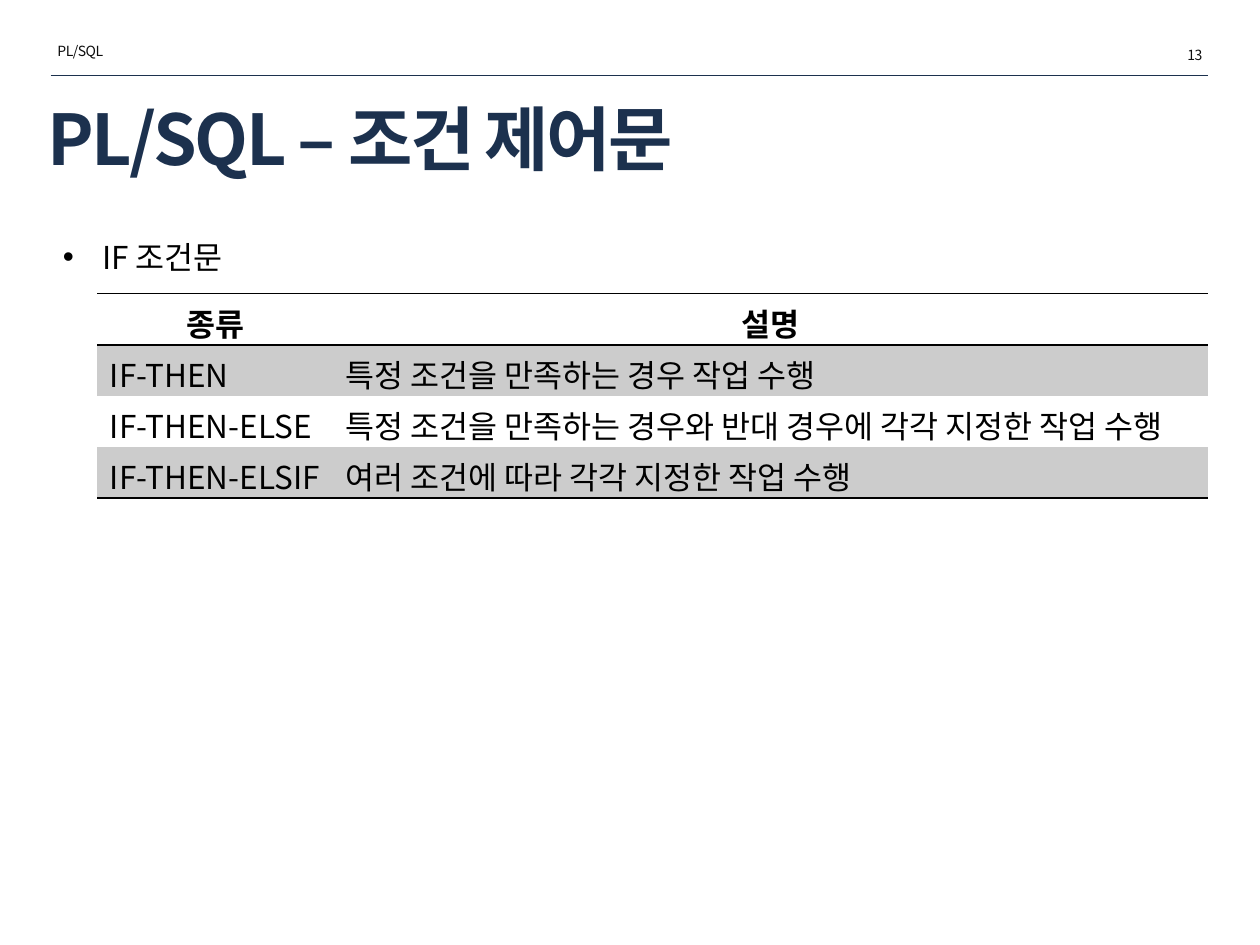
from lxml.etree import SubElement
from pptx import Presentation
from pptx.dml.color import RGBColor
from pptx.enum.shapes import MSO_CONNECTOR
from pptx.enum.text import MSO_ANCHOR, PP_ALIGN
from pptx.oxml.ns import qn
from pptx.util import Cm, Pt

FONT = "Noto Sans CJK KR"
HUE = {"navy": "1C314E", "ink": "0D0D0D", "black": "000000", "band": "CCCCCC"}
SMALL = {"size": Pt(8), "hue": "ink", "spc": -30}
HEAD = {"size": Pt(40), "hue": "navy", "spc": -150, "bold": True}
BODY = {"size": Pt(18), "hue": "black", "spc": 0, "bold": False}
LEFT, RIGHT = PP_ALIGN.LEFT, PP_ALIGN.RIGHT
TEXTS = [
    ("PL/SQL", (0.91, 0.74, 4.4, 0.6), SMALL, LEFT, MSO_ANCHOR.TOP),
    ("PL/SQL – 조건 제어문", (0.71, 1.96, 19.43, 1.63), HEAD, LEFT, MSO_ANCHOR.MIDDLE),
    ("13", (20.09, 0.81, 4.4, 0.6), SMALL, RIGHT, MSO_ANCHOR.TOP),
]
POINT = ("IF 조건문", (1.02, 4.29, 23.34, 1.27), BODY, LEFT, MSO_ANCHOR.TOP)
ROWS = [
    ("종류", "설명"),
    ("IF-THEN", "특정 조건을 만족하는 경우 작업 수행"),
    ("IF-THEN-ELSE", "특정 조건을 만족하는 경우와 반대 경우에 각각 지정한 작업 수행"),
    ("IF-THEN-ELSIF", "여러 조건에 따라 각각 지정한 작업 수행"),
]
COLS = (4.75, 17.65)
TALL = 1.03


def color(name):
    return RGBColor.from_string(HUE[name])


def write(frame, text, form, align):
    para = frame.paragraphs[0]
    para.alignment = align
    run = para.add_run()
    run.text = text
    font = run.font
    for key, val in form.items():
        if key not in ("hue", "spc"):
            setattr(font, key, val)
    font.name = FONT
    font.color.rgb = color(form["hue"])
    props = run._r.get_or_add_rPr()
    props.set("spc", str(form["spc"]))
    SubElement(props, qn("a:ea"), typeface=FONT)
    return para


def label(slide, text, place, form, align, anchor):
    box = slide.shapes.add_textbox(*map(Cm, place))
    frame = box.text_frame
    frame.word_wrap = True
    frame.vertical_anchor = anchor
    return write(frame, text, form, align)


def border(cell, sides):
    props = cell._tc.get_or_add_tcPr()
    for side in "LRTB":
        line = SubElement(props, qn(f"a:ln{side}"), w=str(Pt(1)))
        if side in sides:
            fill = SubElement(line, qn("a:solidFill"))
            SubElement(fill, qn("a:srgbClr"), val=HUE["black"])
        else:
            SubElement(line, qn("a:noFill"))


def grid(slide):
    last = len(ROWS) - 1
    place = (1.96, 5.92, sum(COLS), TALL * len(ROWS))
    table = slide.shapes.add_table(len(ROWS), len(COLS), *map(Cm, place)).table
    table.first_row = table.horz_banding = False
    for col, wide in zip(table.columns, COLS):
        col.width = Cm(wide)
    for r, row in enumerate(ROWS):
        table.rows[r].height = Cm(TALL)
        sides = {0: "TB", 1: "T", last: "B"}.get(r, "")
        for c, text in enumerate(row):
            cell = table.cell(r, c)
            cell.margin_bottom = 0
            border(cell, sides)
            if r % 2:
                cell.fill.solid()
                cell.fill.fore_color.rgb = color("band")
            else:
                cell.fill.background()
            align = LEFT if r else PP_ALIGN.CENTER
            write(cell.text_frame, text, {**BODY, "bold": r == 0}, align)


def main():
    deck = Presentation()
    deck.slide_width, deck.slide_height = Cm(25.4), Cm(19.05)
    slide = deck.slides.add_slide(deck.slide_layouts[6])
    for item in TEXTS:
        label(slide, *item)
    rule = slide.shapes.add_connector(
        MSO_CONNECTOR.STRAIGHT, Cm(1.02), Cm(1.52), Cm(24.36), Cm(1.52))
    rule.line.color.rgb = color("navy")
    rule.line.width = Pt(0.25)
    SubElement(rule._element.spPr, qn("a:effectLst"))
    para = label(slide, *POINT)
    para.line_spacing = 1.5
    props = para._p.get_or_add_pPr()
    props.set("marL", str(Cm(0.79)))
    props.set("indent", str(Cm(-0.79)))
    SubElement(props, qn("a:buFont"), typeface="Arial")
    SubElement(props, qn("a:buChar"), char="•")
    grid(slide)
    deck.save("out.pptx")


if __name__ == "__main__":
    main()
